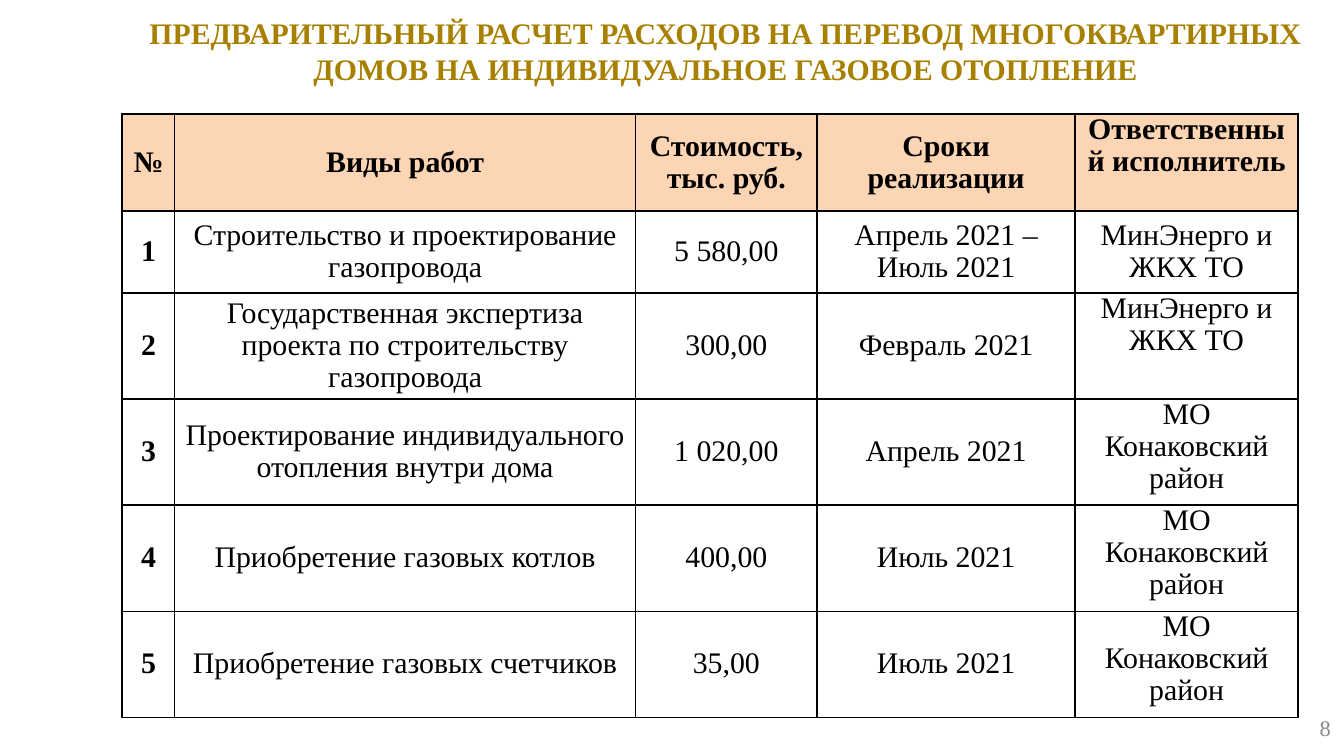
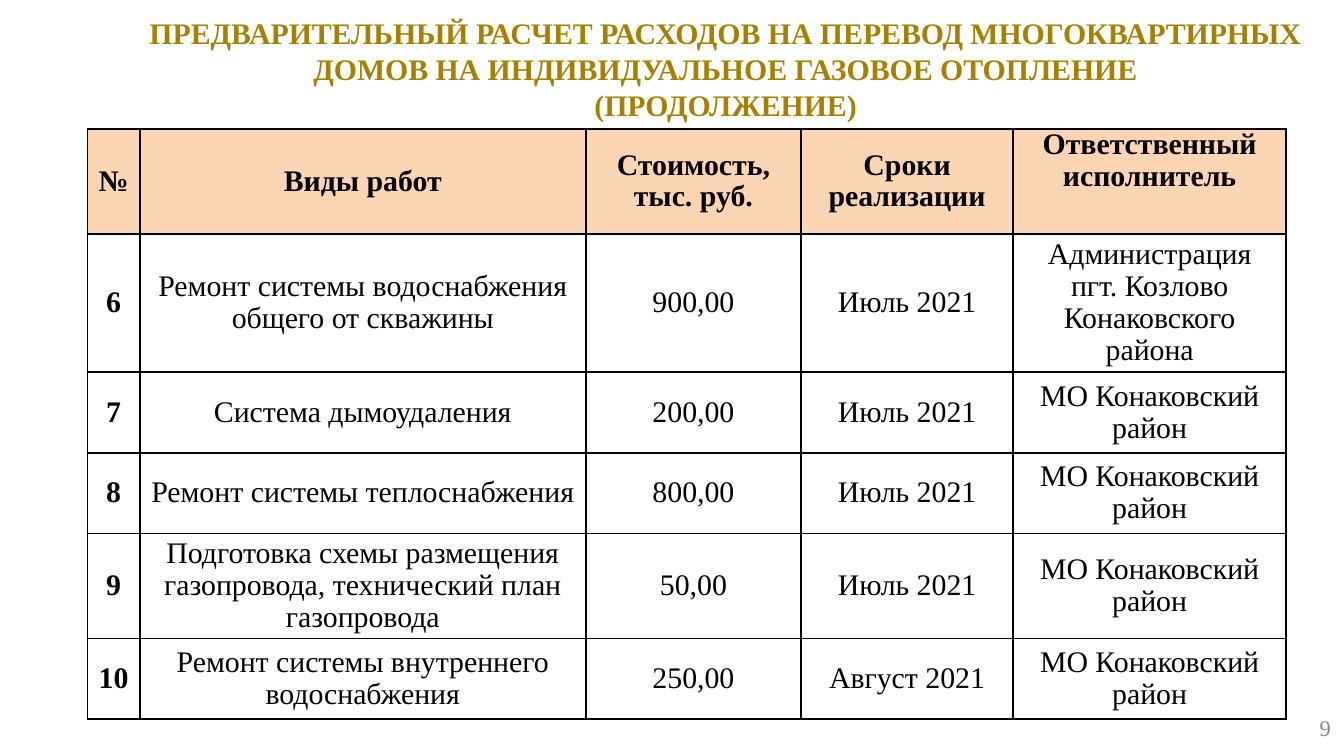
from lxml.etree import SubElement
from pptx import Presentation
from pptx.dml.color import RGBColor
from pptx.enum.text import MSO_ANCHOR, MSO_AUTO_SIZE, PP_ALIGN
from pptx.oxml.ns import qn
from pptx.util import Inches, Pt

FONT = "Times New Roman"
GOLD = RGBColor(0xA8, 0x80, 0x00)
GREY = RGBColor(0x89, 0x89, 0x89)
BLACK = RGBColor(0, 0, 0)
PEACH = RGBColor(0xFC, 0xD5, 0xB5)

TITLE = ("ПРЕДВАРИТЕЛЬНЫЙ РАСЧЕТ РАСХОДОВ НА ПЕРЕВОД МНОГОКВАРТИРНЫХ "
         "ДОМОВ НА ИНДИВИДУАЛЬНОЕ ГАЗОВОЕ ОТОПЛЕНИЕ")
HEADER = ("№", "Виды работ", "Стоимость, тыс. руб.", "Сроки реализации",
          "Ответственный исполнитель")
MINISTRY = "МинЭнерго и ЖКХ ТО"
DISTRICT = "МО Конаковский район"

SLIDES = [
    {
        "number": 8,
        "title": TITLE,
        "origin": (0.91, 0.85),
        "columns": (0.39, 3.43, 1.35, 1.92, 1.66),
        "heights": (0.72, 0.61, 0.79, 0.79, 0.79, 0.79),
        "inset": 0.06,
        "top_rows": (0, 2, 3, 4, 5),
        "works": [
            ("1", "Строительство и проектирование газопровода", "5 580,00",
             "Апрель 2021 –\nИюль 2021", MINISTRY),
            ("2", "Государственная экспертиза проекта по строительству газопровода",
             "300,00", "Февраль 2021", MINISTRY),
            ("3", "Проектирование индивидуального отопления внутри дома",
             "1 020,00", "Апрель 2021", DISTRICT),
            ("4", "Приобретение газовых котлов", "400,00", "Июль 2021", DISTRICT),
            ("5", "Приобретение газовых счетчиков", "35,00", "Июль 2021", DISTRICT),
        ],
    },
    {
        "number": 9,
        "title": TITLE + "\n(ПРОДОЛЖЕНИЕ)",
        "origin": (0.65, 0.96),
        "columns": (0.39, 3.32, 1.6, 1.58, 2.03),
        "heights": (0.78, 1.03, 0.6, 0.6, 0.78, 0.6),
        "inset": 0.07,
        "top_rows": (0,),
        "works": [
            ("6", "Ремонт системы водоснабжения общего от скважины", "900,00",
             "Июль 2021", "Администрация пгт. Козлово Конаковского района"),
            ("7", "Система дымоудаления", "200,00", "Июль 2021", DISTRICT),
            ("8", "Ремонт системы теплоснабжения", "800,00", "Июль 2021", DISTRICT),
            ("9", "Подготовка схемы размещения газопровода, технический план газопровода",
             "50,00", "Июль 2021", DISTRICT),
            ("10", "Ремонт системы внутреннего водоснабжения", "250,00",
             "Август 2021", DISTRICT),
        ],
    },
]


def write(frame, text, size=16, color=BLACK, bold=False, align=PP_ALIGN.CENTER,
          spacing=None):
    frame.word_wrap = True
    frame.text = text
    for para in frame.paragraphs:
        para.alignment = align
        if spacing:
            para.line_spacing = spacing
        for span in para.runs:
            span.font.name = FONT
            span.font.size = Pt(size)
            span.font.bold = bold
            span.font.color.rgb = color


def place(box, left, top, width, height):
    box.left, box.top = Inches(left), Inches(top)
    box.width, box.height = Inches(width), Inches(height)


def add_borders(cell):
    properties = cell._tc.get_or_add_tcPr()
    for side in ("a:lnL", "a:lnR", "a:lnT", "a:lnB"):
        line = SubElement(properties, qn(side), w=str(Pt(1)))
        fill = SubElement(line, qn("a:solidFill"))
        SubElement(fill, qn("a:srgbClr"), val=str(BLACK))


def add_title(page, text):
    title = page.shapes.title
    place(title, 0.91, 0.06, 8.98, 0.77)
    frame = title.text_frame
    frame.auto_size = MSO_AUTO_SIZE.NONE
    frame.vertical_anchor = MSO_ANCHOR.TOP
    write(frame, text, color=GOLD, bold=True)


def add_page_number(page, number):
    box = page.shapes.add_textbox(Inches(7.67), Inches(5.22), Inches(2.33), Inches(0.39))
    box.text_frame.vertical_anchor = MSO_ANCHOR.MIDDLE
    write(box.text_frame, str(number), size=12, color=GREY, align=PP_ALIGN.RIGHT)


def add_works_table(page, content):
    rows = [HEADER] + content["works"]
    columns, heights = content["columns"], content["heights"]
    left, top = content["origin"]
    table = page.shapes.add_table(
        len(rows), len(columns), Inches(left), Inches(top),
        Inches(sum(columns)), Inches(sum(heights))).table
    table.horz_banding = False
    for column, width in zip(table.columns, columns):
        column.width = Inches(width)
    for row_index, values in enumerate(rows):
        table.rows[row_index].height = Inches(heights[row_index])
        for column_index, text in enumerate(values):
            cell = table.cell(row_index, column_index)
            is_header = row_index == 0
            is_label = is_header or column_index == 0
            is_top = column_index == len(columns) - 1 and row_index in content["top_rows"]
            inset = Inches(0.06 if is_label else content["inset"])
            cell.margin_left = cell.margin_right = inset
            cell.margin_top = cell.margin_bottom = 0
            cell.vertical_anchor = MSO_ANCHOR.TOP if is_top else MSO_ANCHOR.MIDDLE
            add_borders(cell)
            if is_header:
                cell.fill.solid()
                cell.fill.fore_color.rgb = PEACH
            else:
                cell.fill.background()
            write(cell.text_frame, text, bold=is_label, spacing=0.96)


def main():
    deck = Presentation()
    deck.slide_width = Inches(10)
    deck.slide_height = deck.slide_width * 9 // 16
    for content in SLIDES:
        page = deck.slides.add_slide(deck.slide_layouts[5])
        add_page_number(page, content["number"])
        add_title(page, content["title"])
        add_works_table(page, content)
    deck.save("out.pptx")


if __name__ == "__main__":
    main()
